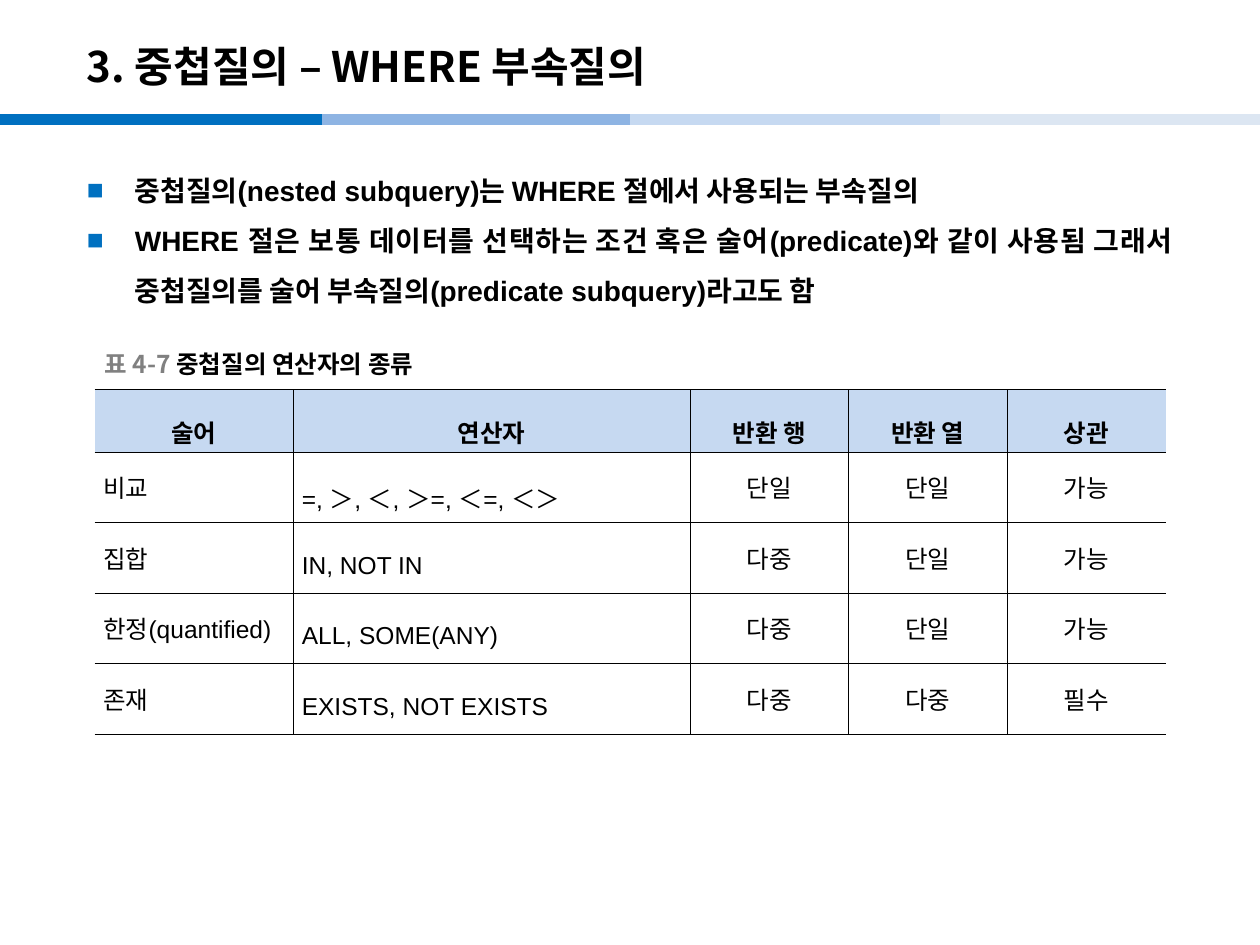
from lxml.etree import SubElement as Sub
from pptx import Presentation
from pptx.dml.color import RGBColor as RGB
from pptx.enum.shapes import MSO_CONNECTOR as Link
from pptx.enum.text import MSO_ANCHOR as Anchor, MSO_AUTO_SIZE as Fit, PP_ALIGN as Align
from pptx.oxml.ns import qn
from pptx.util import Pt

HUES = {"ink": "000000", "gray": "808080", "blue": "0070C0", "mid": "8EB4E3",
        "light": "C6D9F1", "pale": "DCE6F2"}
SANS, KOREAN = "Arial", "Noto Sans CJK KR"

TITLE = "3. 중첩질의 – WHERE 부속질의"
POINTS = [
    "중첩질의(nested subquery)는 WHERE 절에서 사용되는 부속질의",
    "WHERE 절은 보통 데이터를 선택하는 조건 혹은 술어(predicate)와 같이 사용됨 "
    "그래서 중첩질의를 술어 부속질의(predicate subquery)라고도 함",
]
CAPTION = [("표 4-7 ", "gray"), ("중첩질의 연산자의 종류", "ink")]
ROWS = [
    ("술어", "연산자", "반환 행", "반환 열", "상관"),
    ("비교", "=, ＞, ＜, ＞=, ＜=, ＜＞", "단일", "단일", "가능"),
    ("집합", "IN, NOT IN", "다중", "단일", "가능"),
    ("한정(quantified)", "ALL, SOME(ANY)", "다중", "단일", "가능"),
    ("존재", "EXISTS, NOT EXISTS", "다중", "다중", "필수"),
]
WIDTHS = [113.4, 226.8, 90.7, 90.7, 90.7]
HEIGHTS = [33.5] + [40.3] * 4
BANDS = [(0, "blue"), (184.3, "mid"), (360, "light"), (537.1, "pale")]
BAND = 184.3


def color(name):
    return RGB.from_string(HUES[name])


def write(para, text, size, font, bold=True, hue="ink"):
    run = para.add_run()
    run.text = text
    run.font.size, run.font.name, run.font.bold = Pt(size), font, bold
    run.font.color.rgb = color(hue)
    Sub(run.font._element, qn("a:ea")).set("typeface", KOREAN)


def place(shape, *box):
    shape.left, shape.top, shape.width, shape.height = map(Pt, box)
    shape.text_frame.auto_size = Fit.NONE
    return shape.text_frame


def bullet(para):
    props = para._p.get_or_add_pPr()
    props.set("marL", str(Pt(27.4)))
    props.set("indent", str(Pt(-27.4)))
    Sub(Sub(props, qn("a:buClr")), qn("a:srgbClr")).set("val", HUES["blue"])
    Sub(props, qn("a:buFont")).set("typeface", SANS)
    Sub(props, qn("a:buChar")).set("char", "■")


def border(cell, col):
    props = cell._tc.get_or_add_tcPr()
    shown = {"L": col > 0, "R": col < len(WIDTHS) - 1, "T": True, "B": True}
    for side, on in shown.items():
        line = Sub(props, qn("a:ln" + side), w=str(Pt(0.28)))
        if on:
            Sub(Sub(line, qn("a:solidFill")), qn("a:srgbClr")).set("val", HUES["ink"])
        else:
            Sub(line, qn("a:noFill"))


def fill_cell(cell, text, row, col):
    border(cell, col)
    if row == 0:
        cell.fill.solid()
        cell.fill.fore_color.rgb = color("light")
    else:
        cell.fill.background()
    cell.vertical_anchor = Anchor.MIDDLE
    cell.margin_left = cell.margin_right = Pt(5.1)
    cell.margin_top = cell.margin_bottom = Pt(1.4)
    para = cell.text_frame.paragraphs[0]
    para.alignment = Align.CENTER if row == 0 or col > 1 else Align.LEFT
    if row == 0 or col == 1:
        para.line_spacing = 1.6
    write(para, text, 14, SANS, row == 0)


def main():
    deck = Presentation()
    deck.slide_width, deck.slide_height = Pt(720), Pt(540)
    slide = deck.slides.add_slide(deck.slide_layouts[1])
    shapes = slide.shapes

    for left, hue in BANDS:
        band = shapes.add_connector(Link.STRAIGHT, Pt(left), Pt(68.4), Pt(left + BAND), Pt(68.4))
        band.line.width = Pt(6)
        band.line.color.rgb = color(hue)
        Sub(band._element.spPr, qn("a:effectLst"))

    frame = place(shapes.title, 42.5, 15.8, 595.4, 43.2)
    frame.vertical_anchor = Anchor.MIDDLE
    frame.paragraphs[0].alignment = Align.LEFT
    write(frame.paragraphs[0], TITLE, 24, KOREAN)

    frame = place(slide.placeholders[1], 42.5, 85.7, 635, 430.6)
    for i, text in enumerate(POINTS):
        para = frame.add_paragraph() if i else frame.paragraphs[0]
        para.alignment = Align.JUSTIFY
        para.line_spacing = 1.5
        para.space_before = Pt(0)
        bullet(para)
        write(para, text, 16, SANS)

    table = shapes.add_table(len(ROWS), len(WIDTHS), Pt(54), Pt(222.7),
                             Pt(sum(WIDTHS)), Pt(sum(HEIGHTS))).table
    table.horz_banding = False
    for col, width in zip(table.columns, WIDTHS):
        col.width = Pt(width)
    for r, (texts, height) in enumerate(zip(ROWS, HEIGHTS)):
        table.rows[r].height = Pt(height)
        for c, text in enumerate(texts):
            fill_cell(table.cell(r, c), text, r, c)

    frame = place(shapes.add_textbox(0, 0, 0, 0), 52.6, 196.6, 150.5, 22.3)
    frame.word_wrap = False
    frame.vertical_anchor = Anchor.MIDDLE
    for text, hue in CAPTION:
        write(frame.paragraphs[0], text, 14, KOREAN, hue=hue)

    deck.save("out.pptx")


if __name__ == "__main__":
    main()
